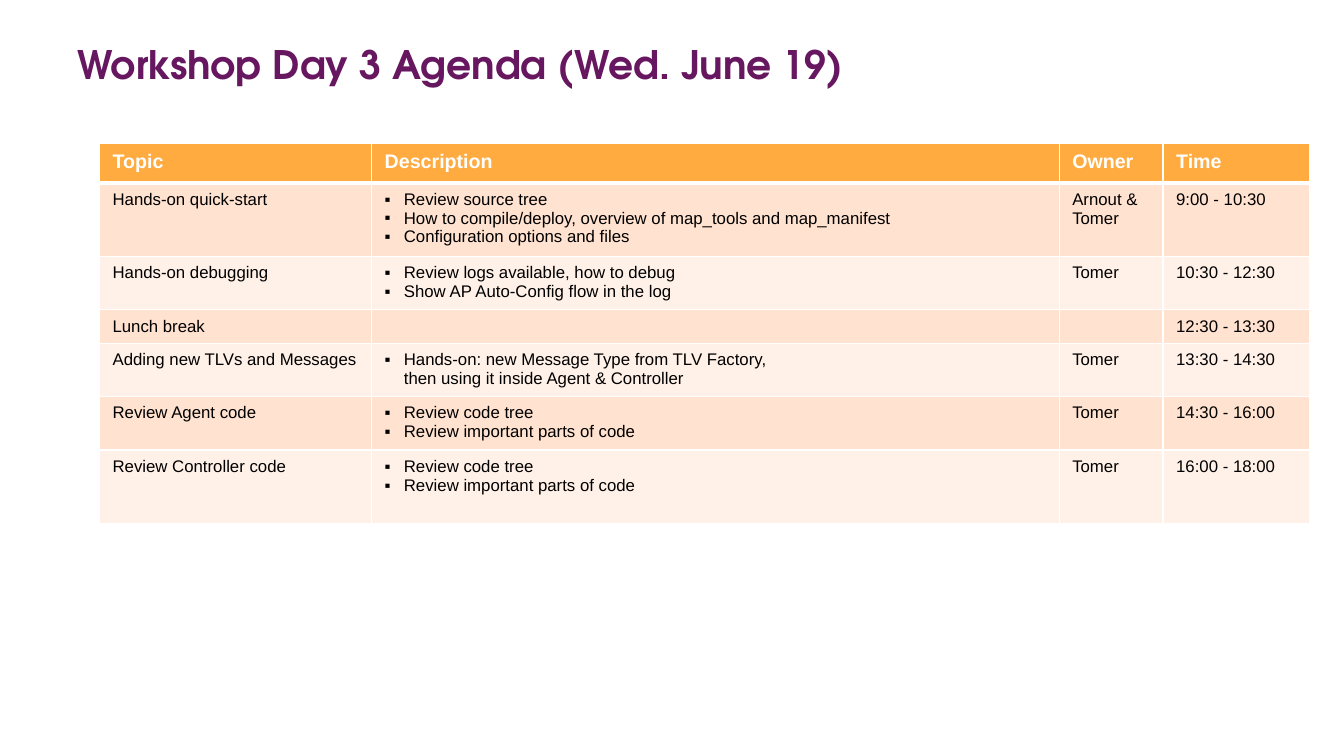
import pptx
import pptx.dml.color
import pptx.enum.text
import pptx.oxml
import pptx.oxml.ns
import pptx.util

AGENDA = [
    ("Topic", ["Description"], "Owner", "Time"),
    ("Hands-on quick-start",
     ["Review source tree",
      "How to compile/deploy, overview of map_tools and map_manifest",
      "Configuration options and files"],
     "Arnout &  Tomer", "9:00 - 10:30"),
    ("Hands-on debugging",
     ["Review logs available, how to debug", "Show AP Auto-Config flow in the log"],
     "Tomer", "10:30 - 12:30"),
    ("Lunch break", [""], "", "12:30 - 13:30"),
    ("Adding new TLVs and Messages",
     ["Hands-on: new Message Type from TLV Factory,\nthen using it inside Agent & Controller"],
     "Tomer", "13:30 - 14:30"),
    *[(f"Review {part} code", ["Review code tree", "Review important parts of code"], "Tomer", time)
      for part, time in (("Agent", "14:30 - 16:00"), ("Controller", "16:00 - 18:00"))],
]
COLUMN_WIDTHS = [20.25, 51.16, 7.73, 10.88]
ROW_HEIGHTS = [5.2, 9.73, 7.07, 4.4, 7.07, 7.07, 9.73]


def color(value):
    return pptx.dml.color.RGBColor.from_string(value)


class AgendaSlide:
    """Draws styled elements on one slide, with lengths in percent of its size."""

    purple, orange, white, black = "671660", "FFAB40", "FFFFFF", "000000"
    bands = ["FFE2CF", "FFF1E8"]
    title_font, body_font = "TeX Gyre Adventor", "Arial"

    def __init__(self, presentation):
        self.presentation = presentation
        self.slide = presentation.slides.add_slide(presentation.slide_layouts[6])

    def across(self, share):
        return round(self.presentation.slide_width * share / 100)

    def down(self, share):
        return round(self.presentation.slide_height * share / 100)

    def box(self, left, top, width, height):
        return self.across(left), self.down(top), self.across(width), self.down(height)

    def style(self, paragraph, name, size, hue, bold):
        font = paragraph.font
        font.name, font.size, font.bold = name, pptx.util.Pt(size), bold
        font.color.rgb = color(hue)

    def title(self, text, *place):
        frame = self.slide.shapes.add_textbox(*self.box(*place)).text_frame
        frame.word_wrap = True
        frame.vertical_anchor = pptx.enum.text.MSO_ANCHOR.MIDDLE
        frame.paragraphs[0].text = text
        self.style(frame.paragraphs[0], self.title_font, 28, self.purple, True)

    def bullet(self, paragraph):
        properties = paragraph._p.get_or_add_pPr()
        indent = pptx.util.Inches(0.19)
        properties.set("marL", str(indent))
        properties.set("indent", str(-indent))
        namespace = pptx.oxml.ns.nsdecls("a")
        marks = [f'<a:buClr {namespace}><a:srgbClr val="{self.black}"/></a:buClr>',
                 f'<a:buFont {namespace} typeface="{self.body_font}"/>',
                 f'<a:buChar {namespace} char="▪"/>']
        for position, mark in enumerate(marks):
            properties.insert(position, pptx.oxml.parse_xml(mark))

    def borders(self, cell, top, bottom):
        properties = cell._tc.get_or_add_tcPr()
        for position, (side, points) in enumerate(zip("LRTB", (1, 1, top, bottom))):
            properties.insert(position, pptx.oxml.parse_xml(
                f'<a:ln{side} {pptx.oxml.ns.nsdecls("a")} w="{pptx.util.Pt(points)}"><a:solidFill>'
                f'<a:srgbClr val="{self.white}"/></a:solidFill></a:ln{side}>'))

    def cell(self, cell, lines, row, bulleted):
        header = row == 0
        cell.fill.solid()
        cell.fill.fore_color.rgb = color(self.orange if header else self.bands[(row - 1) % 2])
        self.borders(cell, 3 if row == 1 else 1, 3 if header else 1)
        cell.margin_left = cell.margin_right = pptx.util.Inches(0.13)
        cell.margin_top = cell.margin_bottom = pptx.util.Inches(0.07)
        frame = cell.text_frame
        for position, line in enumerate(lines):
            paragraph = frame.add_paragraph() if position else frame.paragraphs[0]
            paragraph.text = line
            self.style(paragraph, self.body_font, 14 if header else 12,
                       self.white if header else self.black, header)
            if bulleted and line:
                self.bullet(paragraph)
            if not line:
                paragraph._p.append(pptx.oxml.parse_xml(
                    f'<a:endParaRPr {pptx.oxml.ns.nsdecls("a")} sz="1200"/>'))

    def table(self, rows, left, top, widths, heights):
        place = self.box(left, top, sum(widths), sum(heights))
        table = self.slide.shapes.add_table(len(rows), len(widths), *place).table
        table.first_row = table.horz_banding = False
        for column, width in zip(table.columns, widths):
            column.width = self.across(width)
        for row, height in zip(table.rows, heights):
            row.height = self.down(height)
        for row, values in enumerate(rows):
            for column, value in enumerate(values):
                lines = value if isinstance(value, list) else [value]
                self.cell(table.cell(row, column), lines, row, row > 0 and column == 1)


def main():
    presentation = pptx.Presentation()
    presentation.slide_width = pptx.util.Inches(13.33)
    presentation.slide_height = pptx.util.Inches(7.5)
    agenda = AgendaSlide(presentation)
    agenda.table(AGENDA, 7.4, 19, COLUMN_WIDTHS, ROW_HEIGHTS)
    agenda.title("Workshop Day 3 Agenda (Wed. June 19)", 5, 0, 90, 17)
    presentation.save("out.pptx")


if __name__ == "__main__":
    main()
